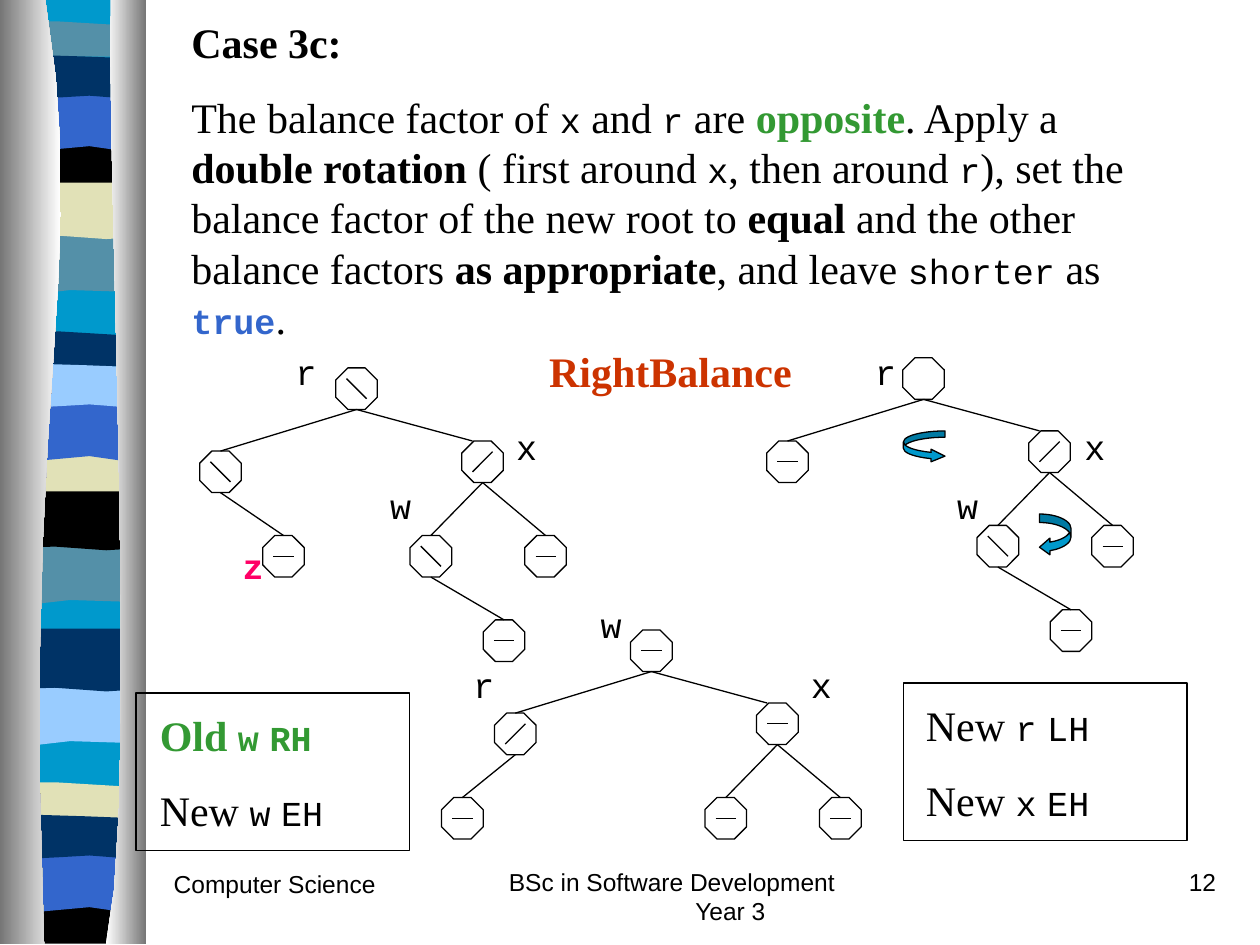
"""Build the slide on case 3c of AVL tree balancing."""
import pptx
import pptx.util
import pptx.dml.color
import pptx.enum.shapes
import pptx.enum.text
import pptx.oxml.ns
import lxml.etree

Inches, Pt = pptx.util.Inches, pptx.util.Pt
RGBColor = pptx.dml.color.RGBColor
KIND = pptx.enum.shapes.MSO_SHAPE
ALIGN = pptx.enum.text.PP_ALIGN
ANCHOR = pptx.enum.text.MSO_ANCHOR

BLACK = RGBColor(0x00, 0x00, 0x00)
WHITE = RGBColor(0xFF, 0xFF, 0xFF)
GREY = RGBColor(0x76, 0x76, 0x76)
CYAN = RGBColor(0x00, 0x99, 0xCC)
TEAL = RGBColor(0x54, 0x90, 0xA8)
SAND = RGBColor(0xE1, 0xE1, 0xB7)
BLUE = RGBColor(0x33, 0x66, 0xCC)
NAVY = RGBColor(0x00, 0x33, 0x66)
SKY = RGBColor(0x99, 0xCC, 0xFF)
GREEN = RGBColor(0x33, 0x99, 0x33)
RED = RGBColor(0xCC, 0x33, 0x00)
PINK = RGBColor(0xFF, 0x00, 0x66)

BODY = {"name": "Times New Roman", "size": Pt(24), "bold": False}
CODE = {"name": "Courier New", "size": Pt(20), "bold": False}
FOOT = {"name": "Arial", "size": Pt(14), "bold": False}
BOLD = {**BODY, "bold": True}
HARD = {**CODE, "bold": True}

CASE = [
    [("Case 3c:", BOLD)],
    [("The balance factor of ", BODY), ("x", CODE), (" and ", BODY), ("r", CODE),
     (" are ", BODY), ("opposite", BOLD, GREEN), (". Apply a ", BODY),
     ("double rotation", BOLD), (" ( first around ", BODY), ("x", CODE),
     (", then around ", BODY), ("r", CODE),
     ("), set the balance factor of the new root to ", BODY), ("equal", BOLD),
     (" and the other balance factors ", BODY), ("as appropriate", BOLD),
     (", and leave ", BODY), ("shorter", CODE), (" as ", BODY),
     ("true", HARD, BLUE), (".", BODY)],
]
OLD = [
    [("Old ", BOLD, GREEN), ("w", HARD, GREEN), (" ", BOLD), ("RH", HARD, GREEN)],
    [("New ", BODY), ("w", CODE), (" ", BODY), ("EH", CODE)],
]
NEW = [
    [("New ", BODY), ("r", CODE), (" ", BODY), ("LH", CODE)],
    [("New ", BODY), ("x", CODE), (" ", BODY), ("EH", CODE)],
]
TEXTS = [
    (CASE, (1.42, 0.08, 7.92, 2.7), ALIGN.LEFT, 0),
    ([[("RightBalance", BOLD, RED)]], (4.26, 2.69, 2.2, 0.5), ALIGN.LEFT, 0),
    (OLD, (1.17, 5.58, 2, 1.1), ALIGN.LEFT, 0),
    (NEW, (7.25, 5.5, 2.08, 1.1), ALIGN.LEFT, 0),
    ([[("Computer Science", FOOT)]], (1.28, 6.85, 2.08, 0.5), ALIGN.LEFT, 0),
    ([[("BSc in Software Development\vYear 3", FOOT)]],
     (3.94, 6.83, 3.17, 0.5), ALIGN.LEFT, 1.48),
    ([[("12", FOOT)]], (7.67, 6.83, 2.08, 0.5), ALIGN.RIGHT, 0),
]
LABELS = [
    ("r", 2.43, 2.95), ("r", 7.03, 2.95), ("x", 4.18, 3.54), ("x", 8.69, 3.54),
    ("w", 3.18, 4.01), ("w", 7.68, 4.01), ("z", 2.01, 4.49, HARD, PINK),
    ("w", 4.85, 4.96), ("r", 3.84, 5.43), ("x", 6.52, 5.43),
]
FRAMES = [(1.08, 5.5, 2.17, 1.25), (7.17, 5.42, 2.25, 1.25)]
ARROWS = [
    (KIND.CURVED_LEFT_ARROW, (8.25, 4.08, 0.25, 0.33), (0.27, 0.53, 0.33)),
    (KIND.CURVED_RIGHT_ARROW, (7.17, 3.42, 0.33, 0.25), (0.2, 0.4, 0.44)),
]

SIZE = 0.33
SPOTS = {
    "root": (2.83, 2.92, None), "left": (1.75, 3.58, "root"),
    "right": (3.83, 3.5, "root"), "inner": (3.42, 4.25, "right"),
    "outer": (4.33, 4.25, "right"), "low": (4, 4.92, "inner"),
    "east": (2.25, 4.25, "left"), "west": (1.33, 4.25, "left"),
}
TREES = [
    (0, 0, {"root": "\\", "left": "\\", "right": "/", "inner": "\\",
            "outer": "-", "low": "-", "east": "-"}),
    (4.5, -0.08, {"root": "", "left": "-", "right": "/", "inner": "\\",
                  "outer": "-", "low": "-"}),
    (2.34, 2.08, {"root": "-", "left": "/", "right": "-", "inner": "-",
                  "outer": "-", "west": "-"}),
]
SLOPES = {"\\": 0.08, "/": -0.08, "-": 0}

WAVES = {
    "tall": [(1.08, 0), (1.08, .47), (.33, .39, .18, .55, 0, .47), (0, 0)],
    "roll": [(1.08, 0), (1.08, .48), (.9, .55, .33, .42, 0, .48), (0, 0)],
    "thin": [(1.08, 0), (1.08, .24), (0, .24), (0, 0),
             (.07, -.05, .23, -.04, .41, -.04)],
    "cap": [(1.08, 0), (1.08, .37), (0, .37), (0, 0), (.66, .05, .85, 0, 1.08, 0)],
    "arc": [(1.08, 0), (1.08, .48), (.66, .42), (0, .48), (0, 0)],
    "flow": [(1.08, 0), (1.08, .3), (1.01, .36, .84, .3, .66, .3),
             (.48, .3, .11, .36, 0, .3), (0, 0), (.15, -.05, .73, 0, .91, 0)],
    "back": [(1.08, 0), (1.08, 7.48), (0, 7.48), (0, 0)],
}
BANDS = [
    ("back", -0.01, CYAN), ("tall", 1.85, TEAL), ("roll", 1.4, SAND),
    ("thin", 0.21, TEAL), ("cap", 1.08, BLACK), ("arc", 0.74, BLUE),
    ("flow", 0.46, NAVY), ("tall", 4.31, TEAL), ("roll", 3.87, BLACK),
    ("thin", 2.67, NAVY), ("cap", 3.53, SAND), ("arc", 3.2, BLUE),
    ("flow", 2.91, SKY), ("tall", 5.43, SKY), ("roll", 4.99, NAVY),
    ("thin", 6.25, SAND), ("cap", 7.12, BLACK), ("arc", 6.78, BLUE),
    ("flow", 6.49, NAVY),
]
DRAPES = [
    ([(.36, 0), (.72, 2.16, .17, 2.96, .35, 7.49), (0, 7.49), (0, 0)], (GREY, WHITE)),
    ([(.88, 0), (.84, 1.25, 1.11, 6.46, .84, 7.49), (1.16, 7.49), (1.16, 0)],
     (WHITE, GREY)),
]

deck = pptx.Presentation()
deck.slide_width, deck.slide_height = Inches(10), Inches(7.5)
shapes = deck.slides.add_slide(deck.slide_layouts[6]).shapes


def trace(steps, left=0, top=0, count=3):
    dots = [steps[0]]
    for step in steps[1:]:
        if len(step) == 2:
            dots.append(step)
            continue
        curve = [dots[-1], step[:2], step[2:4], step[4:]]
        for t in [i / count for i in range(1, count + 1)]:
            parts = ((1 - t) ** 3, 3 * t * (1 - t) ** 2, 3 * t * t * (1 - t), t ** 3)
            dots.append(tuple(sum(k * dot[axis] for k, dot in zip(parts, curve))
                              for axis in (0, 1)))
    dots = [(Inches(left + x), Inches(top + y)) for x, y in dots]
    pen = shapes.build_freeform(*dots[0])
    pen.add_line_segments(dots[1:], close=True)
    form = pen.convert_to_shape()
    form.shadow.inherit = False
    form.line.fill.background()
    return form


def add_form(kind, box, fill=None):
    form = shapes.add_shape(kind, *map(Inches, box))
    form.shadow.inherit = False
    form.line.color.rgb, form.line.width = BLACK, Pt(0.75)
    if fill is None:
        form.fill.background()
    else:
        form.fill.solid()
        form.fill.fore_color.rgb = fill
    return form


def add_line(*ends):
    line = shapes.add_connector(pptx.enum.shapes.MSO_CONNECTOR.STRAIGHT, *map(Inches, ends))
    line.line.color.rgb, line.line.width = BLACK, Pt(0.75)
    lxml.etree.SubElement(line._element.spPr, pptx.oxml.ns.qn("a:effectLst"))


def add_text(paras, box, align, hang=0):
    frame = shapes.add_textbox(*map(Inches, box)).text_frame
    frame.word_wrap = True
    for i, runs in enumerate(paras):
        para = frame.add_paragraph() if i else frame.paragraphs[0]
        para.alignment, para.space_before = align, Pt(14 if i else 0)
        if hang:
            props = para._p.get_or_add_pPr()
            props.set("marL", str(Inches(hang)))
            props.set("indent", str(-Inches(hang)))
        for text, style, *tint in runs:
            for j, piece in enumerate(text.split("\v")):
                if j:
                    para.add_line_break()
                run = para.add_run()
                run.text = piece
                for key, value in style.items():
                    setattr(run.font, key, value)
                run.font.color.rgb = tint[0] if tint else BLACK
    return frame


def add_tree(dx, dy, marks):
    for name, mark in marks.items():
        x, y, above = SPOTS[name]
        x, y = x + dx, y + dy
        add_form(KIND.OCTAGON, (x - SIZE / 2, y, SIZE, SIZE))
        if above:
            px, py, _ = SPOTS[above]
            shift = 0.08 if name == "right" else 0
            add_line(px + dx, py + dy + SIZE, x - shift, y)
        if mark:
            mid, rise = y + SIZE / 2, SLOPES[mark]
            add_line(x - 0.08, mid - rise, x + 0.08, mid + rise)


for wave, top, tint in BANDS:
    band = trace(WAVES[wave], 0.05, top)
    band.fill.solid()
    band.fill.fore_color.rgb = tint
for steps, tints in DRAPES:
    drape = trace(steps, count=10)
    drape.fill.gradient()
    drape.fill.gradient_angle = 0
    for stop, tint in zip(drape.fill.gradient_stops, tints):
        stop.color.rgb = tint
for tree in TREES:
    add_tree(*tree)
for kind, box, bends in ARROWS:
    arrow = add_form(kind, box, CYAN)
    for i, bend in enumerate(bends):
        arrow.adjustments[i] = bend
for box in FRAMES:
    add_form(KIND.RECTANGLE, box)
for item in TEXTS:
    add_text(*item)
for text, x, y, *style in LABELS:
    frame = add_text([[(text, *(style or [CODE]))]], (x - 0.2, y - 0.2, 0.4, 0.4), ALIGN.CENTER)
    frame.vertical_anchor = ANCHOR.MIDDLE
deck.save("out.pptx")
